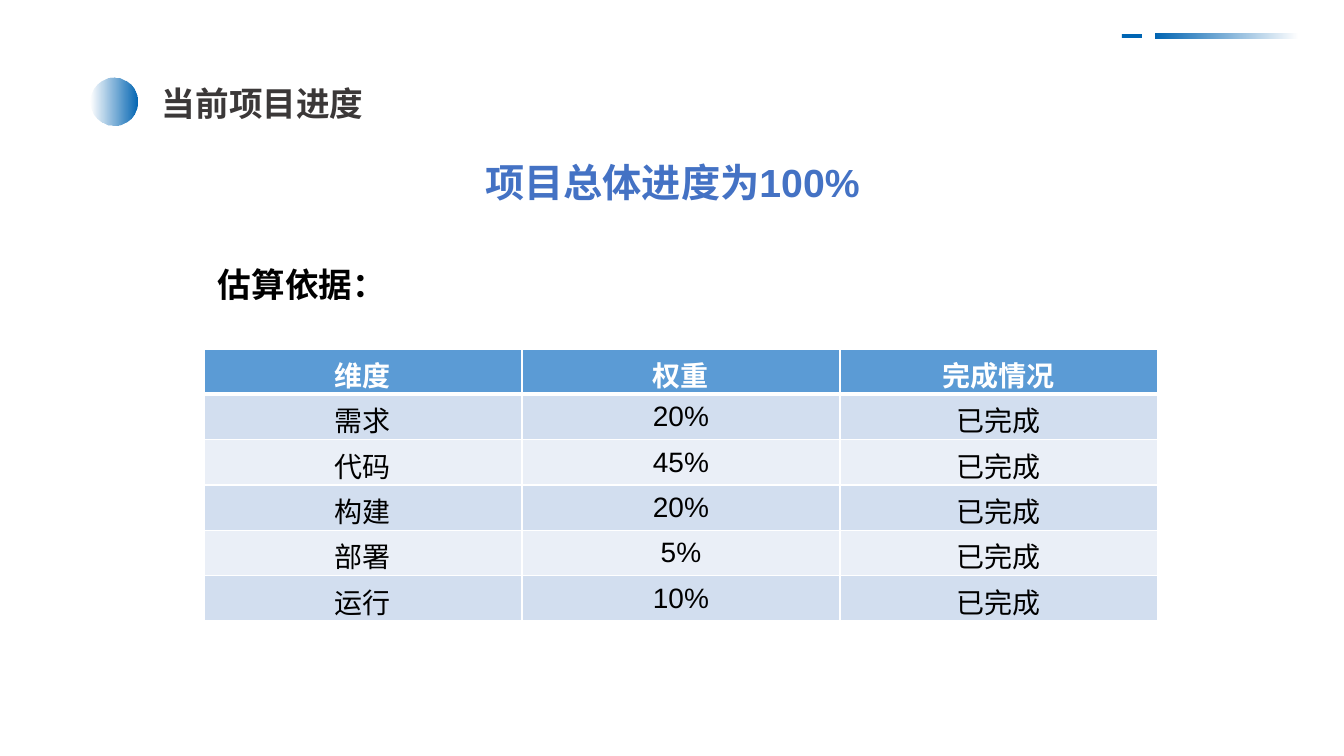
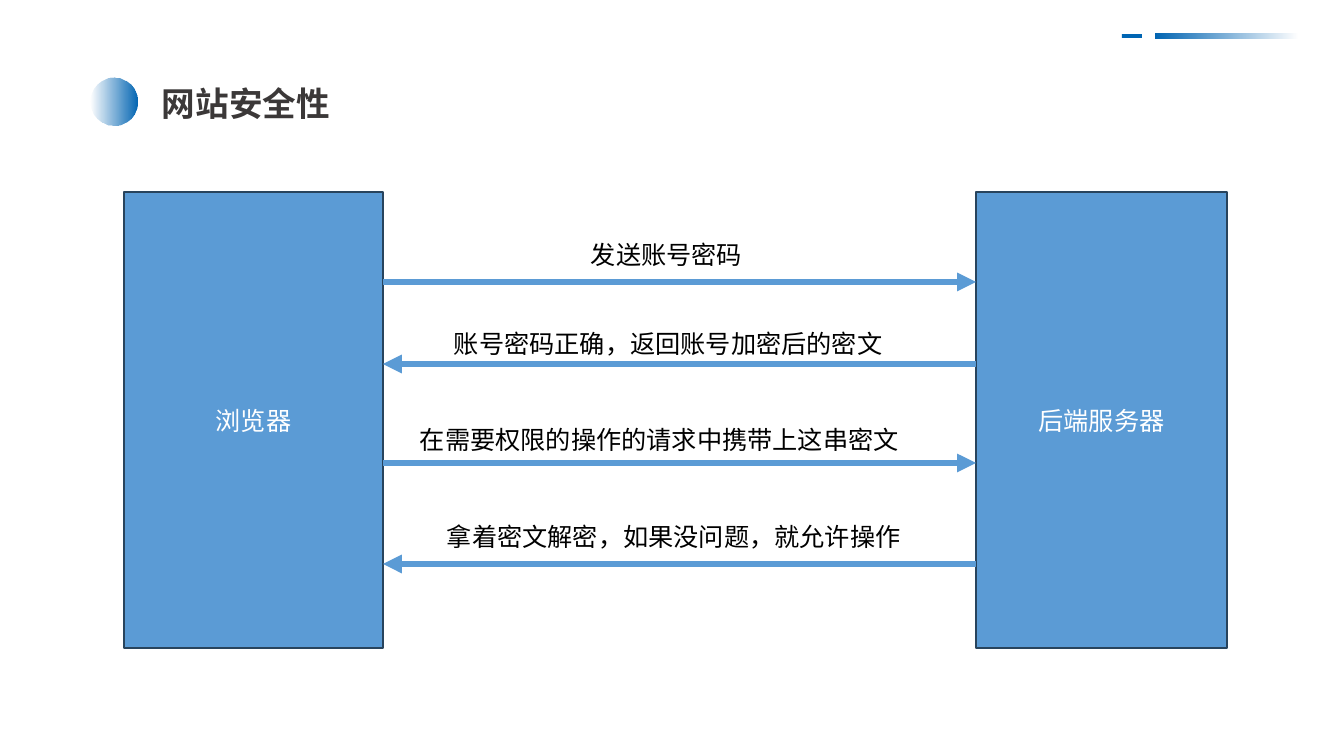
import pptx
import pptx.util
import pptx.dml.color
import pptx.enum.dml
import pptx.enum.lang
import pptx.enum.shapes
import pptx.enum.text
import pptx.oxml
import pptx.oxml.ns

WIDE, HIGH = 1344, 756
SCALE = 12192000 / WIDE
SHAPE = pptx.enum.shapes.MSO_SHAPE
ALIGN = pptx.enum.text.PP_ALIGN
MIDDLE = pptx.enum.text.MSO_ANCHOR.MIDDLE
TOP = pptx.enum.text.MSO_ANCHOR.TOP
CHINESE = pptx.enum.lang.MSO_LANGUAGE_ID.SIMPLIFIED_CHINESE

BRAND, BLUE, EDGE = "0065B3", "5B9BD5", "28445D"
WHITE, BLACK, GREY, ROYAL = "FFFFFF", "000000", "3B3838", "4472C4"
BANDS = ["D2DEEF", "EAEFF7"]

STYLES = {
    "title": {"size": 24, "bold": True, "color": GREY},
    "head": {"size": 28, "bold": True, "color": ROYAL},
    "basis": {"size": 24, "bold": True, "color": BLACK},
    "column": {"size": 20, "bold": True, "color": WHITE},
    "cell": {"size": 20, "bold": False, "color": BLACK},
    "node": {"size": 18, "bold": False, "color": WHITE},
    "label": {"size": 18, "bold": False, "color": BLACK},
}

DONE = "已完成"
HEADER = ("维度", "权重", "完成情况")
WEIGHTS = [("需求", "20%"), ("代码", "45%"), ("构建", "20%"), ("部署", "5%"), ("运行", "10%")]
GRID = (204, 349, 954, 272)

NODES = [("浏览器", 124, 259), ("后端服务器", 976, 251)]
NODE_TOP, NODE_HIGH = 192, 456
STEPS = [
    ("发送账号密码", 282, (581, 234, 321, 40)),
    ("账号密码正确，返回账号加密后的密文", 364, (444, 323, 471, 40)),
    ("在需要权限的操作的请求中携带上这串密文", 463, (410, 419, 539, 40)),
    ("拿着密文解密，如果没问题，就允许操作", 564, (437, 516, 539, 40)),
]


def px(value):
    return pptx.util.Emu(round(value * SCALE))


def rgb(value):
    return pptx.dml.color.RGBColor.from_string(value)


def solid(fill, color):
    fill.solid()
    fill.fore_color.rgb = rgb(color)


def write(frame, text, style, align):
    para = frame.paragraphs[0]
    para.alignment = align
    run = para.add_run()
    run.text = text
    look = STYLES[style]
    values = {"name": "Arial", "size": pptx.util.Pt(look["size"]),
              "bold": look["bold"], "language_id": CHINESE}
    for key, value in values.items():
        setattr(run.font, key, value)
    run.font.color.rgb = rgb(look["color"])


def label(slide, box, text, style, align=ALIGN.LEFT, wrap=True):
    frame = slide.shapes.add_textbox(*map(px, box)).text_frame
    frame.word_wrap = wrap
    frame.vertical_anchor = TOP
    write(frame, text, style, align)


def block(slide, kind, box, color, edge=None):
    shape = slide.shapes.add_shape(kind, *map(px, box))
    shape.shadow.inherit = False
    solid(shape.fill, color)
    if edge:
        solid(shape.line.fill, edge)
        shape.line.width = pptx.util.Pt(1)
    else:
        shape.line.fill.background()
    return shape


def fade(shape, alphas):
    shape.fill.gradient()
    shape.fill.gradient_angle = 0
    for stop in shape.fill.gradient_stops:
        stop.color.rgb = rgb(BRAND)
    tints = shape.fill._xPr.iter(pptx.oxml.ns.qn("a:srgbClr"))
    for tint, alpha in zip(list(tints), alphas):
        add(tint, f'<a:alpha {NS} val="{alpha * 1000}"/>')


NS = pptx.oxml.ns.nsdecls("a")


def add(parent, xml):
    parent.append(pptx.oxml.parse_xml(xml))


def start(deck, title):
    slide = deck.slides.add_slide(deck.slide_layouts[6])
    label(slide, (152, 78, 244, 50), title, "title", ALIGN.JUSTIFY)
    fade(block(slide, SHAPE.RECTANGLE, (1156, 34, 142, 5), BRAND), (100, 0))
    block(slide, SHAPE.RECTANGLE, (1122, 34, 20, 4), BRAND)
    fade(block(slide, SHAPE.FLOWCHART_CONNECTOR, (91, 78, 47, 48), BRAND), (0, 100))
    return slide


def border(cell, top, bottom):
    props = cell._tc.get_or_add_tcPr()
    for side, width in zip("LRTB", (1, 1, top, bottom)):
        add(props, f'<a:ln{side} {NS} w="{width * 12700}"><a:solidFill>'
                   f'<a:srgbClr val="{WHITE}"/></a:solidFill></a:ln{side}>')


def grid(slide):
    rows = [HEADER] + [(*pair, DONE) for pair in WEIGHTS]
    table = slide.shapes.add_table(len(rows), len(HEADER), *map(px, GRID)).table
    for column in table.columns:
        column.width = px(GRID[2] / len(HEADER))
    for r, row in enumerate(rows):
        table.rows[r].height = px(GRID[3] / len(rows))
        for c, text in enumerate(row):
            cell = table.cell(r, c)
            border(cell, 3 if r == 1 else 1, 1 if r else 3)
            solid(cell.fill, BANDS[(r - 1) % 2] if r else BLUE)
            cell.vertical_anchor = MIDDLE
            write(cell.text_frame, text, "cell" if r else "column", ALIGN.CENTER)


def arrow(slide, begin, end, y):
    line = slide.shapes.add_connector(
        pptx.enum.shapes.MSO_CONNECTOR.STRAIGHT, *map(px, (begin, y, end, y)))
    solid(line.line.fill, BLUE)
    line.line.width = pptx.util.Pt(4.5)
    add(line.line._get_or_add_ln(), f'<a:tailEnd {NS} type="triangle"/>')
    add(line._element.spPr, f"<a:effectLst {NS}/>")


def progress(deck):
    slide = start(deck, "当前项目进度")
    label(slide, (475, 153, 395, 57), "项目总体进度为100%", "head", ALIGN.CENTER)
    grid(slide)
    label(slide, (208, 259, 188, 50), "估算依据：", "basis", ALIGN.CENTER, False)


def safety(deck):
    slide = start(deck, "网站安全性")
    for text, left, width in NODES:
        node = block(slide, SHAPE.RECTANGLE, (left, NODE_TOP, width, NODE_HIGH), BLUE, EDGE)
        node.text_frame.vertical_anchor = MIDDLE
        write(node.text_frame, text, "node", ALIGN.CENTER)
    ends = (NODES[0][1] + NODES[0][2], NODES[1][1])
    for i, (text, y, box) in enumerate(STEPS):
        begin, end = ends[::-1] if i % 2 else ends
        arrow(slide, begin, end, y)
        label(slide, box, text, "label")


def main():
    deck = pptx.Presentation()
    deck.slide_width, deck.slide_height = px(WIDE), px(HIGH)
    progress(deck)
    safety(deck)
    deck.save("out.pptx")


if __name__ == "__main__":
    main()
